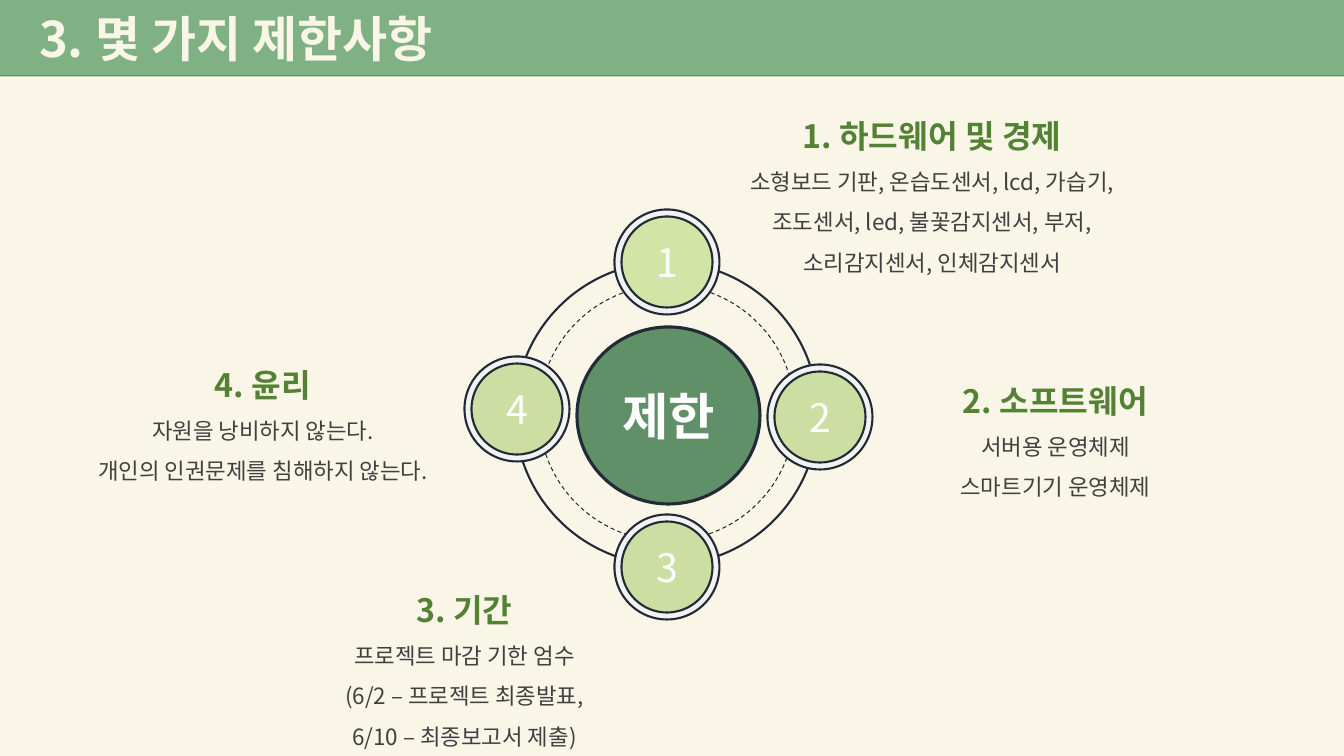
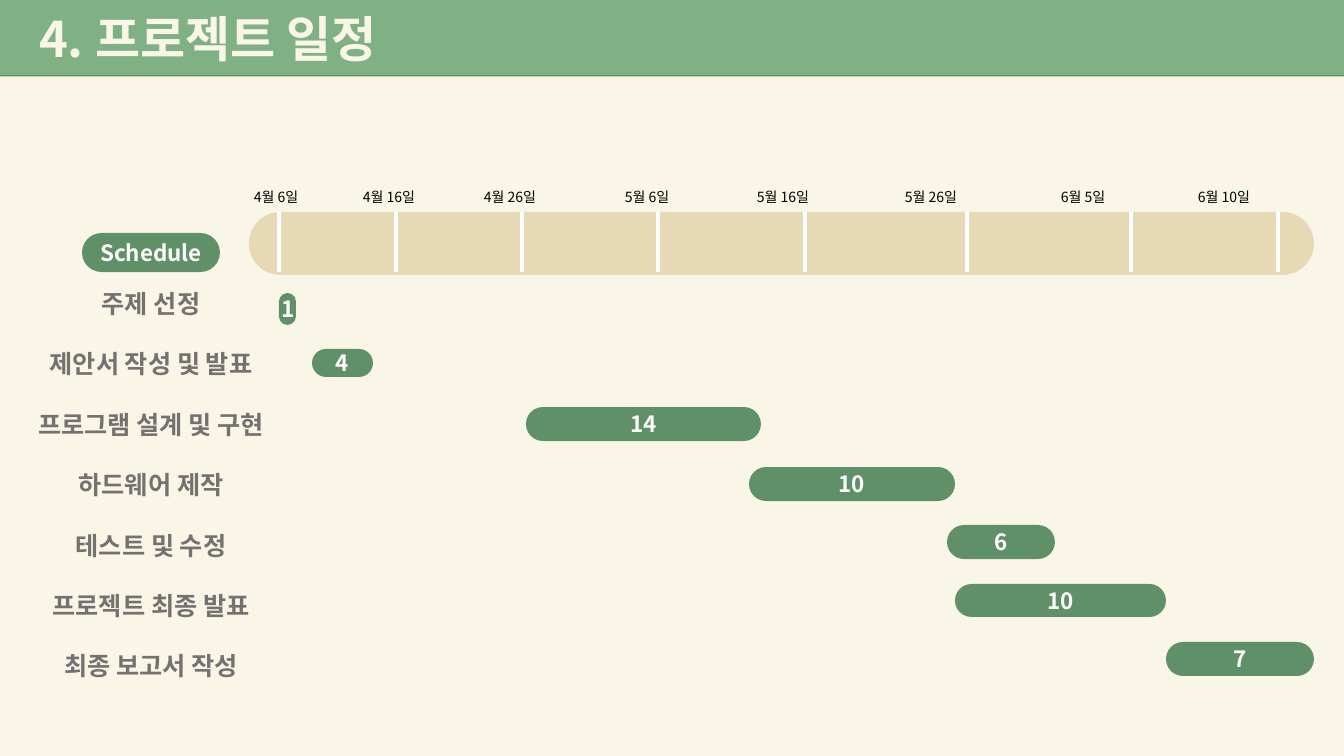
"""Build two project slides: the constraints wheel and the schedule."""
from lxml import etree
from pptx import Presentation
from pptx.dml.color import RGBColor
from pptx.enum.dml import MSO_LINE
from pptx.enum.shapes import MSO_CONNECTOR, MSO_SHAPE
from pptx.enum.text import MSO_ANCHOR, MSO_AUTO_SIZE, PP_ALIGN
from pptx.oxml.ns import qn
from pptx.util import Emu, Pt

RECT, PILL, OVAL = MSO_SHAPE.RECTANGLE, MSO_SHAPE.ROUNDED_RECTANGLE, MSO_SHAPE.OVAL
STRAIGHT, DASH = MSO_CONNECTOR.STRAIGHT, MSO_LINE.DASH
LEFT, CENTER = PP_ALIGN.LEFT, PP_ALIGN.CENTER
MIDDLE, GROW = MSO_ANCHOR.MIDDLE, MSO_AUTO_SIZE.SHAPE_TO_FIT_TEXT

FONT = "Noto Sans CJK KR"
COLORS = {
    "cream": "F9F6E7", "band": "80B184", "shadow": "618F6A", "green": "609067",
    "navy": "222A35", "rim": "F2F2F2", "lime": "CDDEA2", "pale_lime": "D3E4A7",
    "heading": "548235", "body": "404040", "label": "767171", "sand": "D9C28F",
    "white": "FFFFFF", "black": "000000",
}
STYLES = {
    "title": {"size": Pt(35), "bold": True, "color": "cream"},
    "hub": {"size": Pt(36), "bold": True, "color": "white"},
    "node": {"size": Pt(28), "bold": False, "color": "white"},
    "heading": {"size": Pt(23), "bold": True, "color": "heading"},
    "body": {"size": Pt(16), "bold": False, "color": "body"},
    "bar": {"size": Pt(16), "bold": True, "color": "white"},
    "task": {"size": Pt(18), "bold": True, "color": "label"},
    "date": {"size": Pt(10), "bold": False, "color": "black"},
}

LIMITS_TITLE = "3. 몇 가지 제한사항 "
HUB_TEXT = "제한"
RINGS = [(539, 285, 256, 0.75, DASH), (515, 262, 303, 1.5, None)]
HUB_BOX = (577, 327, 183, 177)
NODE_SIZE, NODE_RIM = 105, 7
NODES = [("2", 820, 417, "lime"), ("4", 517, 409, "lime"),
         ("1", 667, 262, "pale_lime"), ("3", 667, 567, "lime")]
LIMITS = [
    ((707, 92, 450, 185), "1. 하드웨어 및 경제",
     ["소형보드 기판, 온습도센서, lcd, 가습기, 조도센서, led, "
      "불꽃감지센서, 부저, 소리감지센서, 인체감지센서"]),
    ((896, 357, 319, 145), "2. 소프트웨어", ["서버용 운영체제", "스마트기기 운영체제"]),
    ((30, 341, 466, 145), "4. 윤리",
     ["자원을 낭비하지 않는다.", "개인의 인권문제를 침해하지 않는다."]),
    ((305, 566, 319, 185), "3. 기간",
     ["프로젝트 마감 기한 엄수", "(6/2 – 프로젝트 최종발표,", "6/10 – 최종보고서 제출)"]),
]

PLAN_TITLE = "4. 프로젝트 일정"
TIMELINE_BOX = (249, 212, 1065, 63)
BADGE = ("Schedule", (82, 233, 138, 39))
DATES = [("4월 6일", 254, 279), ("4월 16일", 363, 396), ("4월 26일", 484, 522),
         ("5월 6일", 625, 658), ("5월 16일", 757, 805), ("5월 26일", 905, 967),
         ("6월 5일", 1061, 1131), ("6월 10일", 1198, 1278)]
DATES_BOX, TICK_TOP, TICK_BOTTOM = (244, 184, 1078, 27), 212, 272
TASKS_BOX = (13, 283, 276, 437)
TASKS = [("주제 선정", "1", (279, 293, 17, 32)),
         ("제안서 작성 및 발표", "4", (312, 349, 61, 28)),
         ("프로그램 설계 및 구현", "14", (526, 407, 235, 34)),
         ("하드웨어 제작", "10", (749, 467, 206, 34)),
         ("테스트 및 수정", "6", (947, 525, 108, 34)),
         ("프로젝트 최종 발표", "10", (955, 584, 211, 33)),
         ("최종 보고서 작성", "7", (1166, 642, 148, 34))]


def px(n):
    return Emu(round(n * 914400 / 100.8))


def rgb(name):
    return RGBColor.from_string(COLORS[name])


def write(tf, lines, align=CENTER, **spacing):
    for i, (text, style) in enumerate(lines):
        p = tf.paragraphs[0] if i == 0 else tf.add_paragraph()
        p.alignment = align
        for name, value in spacing.items():
            setattr(p, name, value)
        r = p.add_run()
        r.text = text
        r.font.name = FONT
        etree.SubElement(r.font._element, qn("a:ea"), typeface=FONT)
        for name, value in STYLES[style].items():
            if name == "color":
                r.font.color.rgb = rgb(value)
            else:
                setattr(r.font, name, value)


def add_shape(s, kind, box, fill=None, line=None, text=None, style=None):
    sp = s.shapes.add_shape(kind, *map(px, box))
    sp.shadow.inherit = False
    if kind == PILL:
        sp.adjustments[0] = 0.5
    if fill:
        sp.fill.solid()
        sp.fill.fore_color.rgb = rgb(fill)
    else:
        sp.fill.background()
    if line:
        sp.line.color.rgb = rgb("navy")
        sp.line.width = Pt(line)
    else:
        sp.line.fill.background()
    if text:
        tf = sp.text_frame
        tf.vertical_anchor = MIDDLE
        tf.margin_left = tf.margin_right = 0
        write(tf, [(text, style)])
    return sp


def add_text(s, box, lines, wrap=True, **layout):
    tf = s.shapes.add_textbox(*map(px, box)).text_frame
    tf.word_wrap = wrap
    tf.auto_size = GROW
    write(tf, lines, **layout)
    return tf


def add_slide(prs, title):
    s = prs.slides.add_slide(prs.slide_layouts[6])
    s.background.fill.solid()
    s.background.fill.fore_color.rgb = rgb("cream")
    band = add_shape(s, RECT, (0, 0, 1344, 75), "band", text=title, style="title")
    band.text_frame.margin_left = px(39)
    band.text_frame.paragraphs[0].alignment = LEFT
    effects = band._element.spPr.find(qn("a:effectLst"))
    shadow = etree.SubElement(effects, qn("a:outerShdw"), blurRad="0",
                              dist=str(Pt(1)), dir="5400000", algn="t", rotWithShape="0")
    etree.SubElement(shadow, qn("a:srgbClr"), val=COLORS["shadow"])
    return s


def build_limits(prs):
    s = add_slide(prs, LIMITS_TITLE)
    for x, y, size, width, dash in RINGS:
        ring = add_shape(s, OVAL, (x, y, size, size), line=width)
        if dash:
            ring.line.dash_style = dash
    add_shape(s, OVAL, HUB_BOX, "green", 2.25, HUB_TEXT, "hub")
    for number, cx, cy, fill in NODES:
        for size, color, text in ((NODE_SIZE, "rim", None),
                                  (NODE_SIZE - 2 * NODE_RIM, fill, number)):
            box = (cx - size / 2, cy - size / 2, size, size)
            add_shape(s, OVAL, box, color, 1.5, text, "node")
    for box, heading, body in LIMITS:
        lines = [(heading, "heading")] + [(text, "body") for text in body]
        add_text(s, box, lines, line_spacing=1.5)


def build_schedule(prs):
    s = add_slide(prs, PLAN_TITLE)
    timeline = add_shape(s, PILL, TIMELINE_BOX, "sand")
    color = timeline._element.spPr.find(qn("a:solidFill"))[0]
    etree.SubElement(color, qn("a:alpha"), val="55000")
    for _, _, x in DATES:
        tick = s.shapes.add_connector(STRAIGHT, px(x), px(TICK_TOP), px(x), px(TICK_BOTTOM))
        tick.line.color.rgb = rgb("white")
        tick.line.width = Pt(2.25)
        etree.SubElement(tick._element.spPr, qn("a:effectLst"))
    text = "\t".join(date for date, _, _ in DATES)
    tf = add_text(s, DATES_BOX, [(text, "date")], align=LEFT)
    tabs = etree.SubElement(tf.paragraphs[0]._p.get_or_add_pPr(), qn("a:tabLst"))
    start = DATES[0][1]
    for _, x, _ in DATES[1:]:
        etree.SubElement(tabs, qn("a:tab"), pos=str(px(x - start)), algn="l")
    badge, box = BADGE
    add_shape(s, PILL, box, "green", text=badge, style="bar")
    add_text(s, TASKS_BOX, [(task, "task") for task, _, _ in TASKS],
             wrap=False, space_after=Pt(21.6))
    for _, days, box in TASKS:
        add_shape(s, PILL, box, "green", text=days, style="bar")


prs = Presentation()
prs.slide_width, prs.slide_height = px(1344), px(756)
build_limits(prs)
build_schedule(prs)
prs.save("out.pptx")
